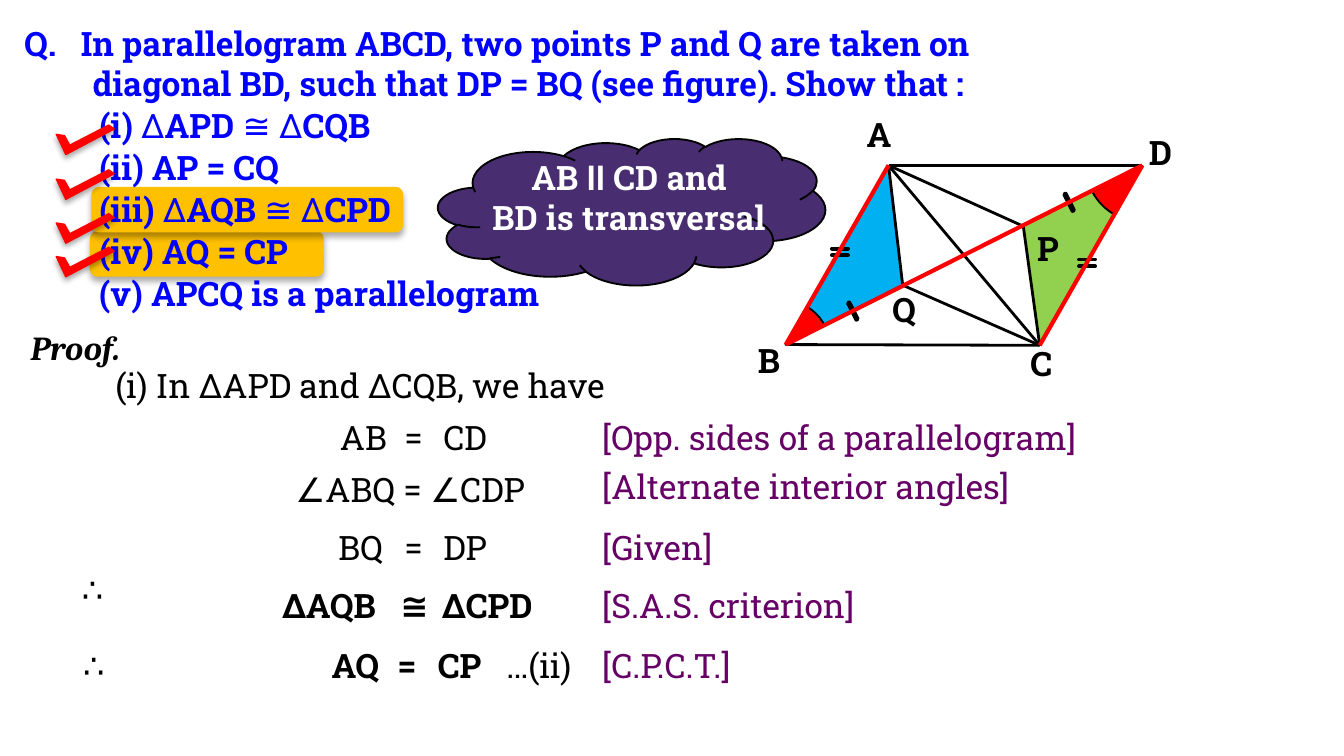
"""Builds the parallelogram proof slide."""
from lxml.etree import SubElement
from pptx import Presentation
from pptx.dml.color import RGBColor
from pptx.enum.shapes import MSO_CONNECTOR, MSO_SHAPE as Shape
from pptx.enum.text import MSO_AUTO_SIZE as Fit, PP_ALIGN as Align
from pptx.oxml.ns import qn
from pptx.util import Pt

SLAB = "Roboto Slab"
BLUE, BLACK, PURPLE, RED, WHITE = "0000FF", "000000", "660066", "FF0000", "FFFFFF"
VERTEX = {"A": (476, 88.6), "B": (421, 184.6), "C": (557, 185),
          "D": (612, 88.6), "P": (548.2, 121.2), "Q": (483.6, 152.8)}
LETTERS = [("B", 398.9, 178.6, 27.4), ("A", 457.2, 57.6, 27.4), ("C", 545, 180, 28.8),
           ("D", 608.4, 67, 28.8), ("Q", 470.9, 151.2, 28.8), ("P", 548.6, 118.8, 26.6)]
PARTS = [
    ([("(i) ", True), ("Δ", False), ("APD ", True), ("≅ Δ", False), ("CQB", True)], 169.2),
    ([("(ii) AP = CQ", True)], 121.7),
    ([("(iii) ", True), ("Δ", False), ("AQB ", True), ("≅ Δ", False), ("CPD", True)], 176.4),
    ([("(iv) AQ = CP", True)], 126),
    ([("(v) APCQ is a parallelogram", True)], 270.7),
]
STEPS = [
    (219.6, False, [("AB", 175, 41.8), ("=", 209.5, 25.2), ("CD", 230.4, 42.5)]),
    (247.7, False, [("∠ABQ = ∠CDP", 151.2, 144.7)]),
    (278.6, False, [("BQ", 174.2, 42.5), ("=", 209.5, 25.2), ("DP", 230.4, 40.3)]),
    (309.6, True, [("ΔAQB", 144, 66.2), ("≅", 207.4, 24.5), ("ΔCPD", 229.7, 65.5)]),
    (342, True, [("AQ", 170.6, 42.5), ("=", 205.9, 25.2), ("CP", 227.5, 40.3)]),
]
REASONS = [("[Opp. sides of a parallelogram]", 219.6, 285.1),
           ("[Alternate interior angles]", 246.2, 240.5), ("[Given]", 278.6, 76.3),
           ("[S.A.S. criterion]", 309.6, 159.8), ("[C.P.C.T.]", 342, 97.9)]
CHECK = [(61.2, 69.1), (58.3, 67), (37.4, 77.8), (34.6, 72.7), (30.2, 72), (35.3, 82.8)]


def rgb(color):
    """Turn a hex string into a colour."""
    return RGBColor.from_string(color)


def set_font(font, color=BLACK, bold=False, name=SLAB, italic=False):
    """Apply the common text style."""
    font.name, font.size, font.bold, font.italic = name, Pt(18), bold, italic
    font.color.rgb = rgb(color)


def paint(sp, fill, line=None, weight=1):
    """Set fill and outline, without shadow."""
    sp.shadow.inherit = False
    sp.fill.solid()
    sp.fill.fore_color.rgb = rgb(fill)
    if line:
        sp.line.color.rgb = rgb(line)
        sp.line.width = Pt(weight)
    else:
        sp.line.fill.background()


def add_shadow(sp, alpha, blur, dist):
    """Cast a black shadow straight down."""
    effects = sp._element.spPr.find(qn("a:effectLst"))
    shadow = SubElement(effects, qn("a:outerShdw"), blurRad=str(Pt(blur)),
                        dist=str(Pt(dist)), dir="5400000", rotWithShape="0")
    color = SubElement(shadow, qn("a:srgbClr"), val=BLACK)
    SubElement(color, qn("a:alpha"), val=str(alpha * 1000))


def add_shape(s, kind, box, fill, line=None, weight=1, rotation=0):
    """Add a painted preset shape."""
    sp = s.shapes.add_shape(kind, *map(Pt, box))
    sp.rotation = rotation
    paint(sp, fill, line, weight)
    return sp


def add_polygon(s, points, fill, line=None, weight=1):
    """Add a closed outline through the points."""
    first, *rest = [(Pt(x), Pt(y)) for x, y in points]
    builder = s.shapes.build_freeform(*first)
    builder.add_line_segments(rest, close=True)
    sp = builder.convert_to_shape()
    paint(sp, fill, line, weight)
    return sp


def add_text(s, text, left, top, width, height=28.8, wrap=False, **style):
    """Add a one-line label."""
    tf = s.shapes.add_textbox(*map(Pt, (left, top, width, height))).text_frame
    tf.word_wrap, tf.auto_size = wrap, Fit.SHAPE_TO_FIT_TEXT
    p = tf.paragraphs[0]
    p.text = text
    set_font(p.font, **style)
    return tf


def add_sides(s, pairs, color, weight):
    """Join pairs of named vertices."""
    for start, end in pairs.split():
        ends = map(Pt, VERTEX[start] + VERTEX[end])
        cx = s.shapes.add_connector(MSO_CONNECTOR.STRAIGHT, *ends)
        cx.line.color.rgb = rgb(color)
        cx.line.width = Pt(weight)
        SubElement(cx._element.spPr, qn("a:effectLst"))


def add_angle(s, box, rotation, start, end):
    """Add a red angle sector."""
    sp = add_shape(s, Shape.PIE, box, RED, BLACK, 1, rotation)
    sp.adjustments[0], sp.adjustments[1] = start, end


def add_regions(s):
    """Add the highlights, the triangles and the equal angles."""
    for box in ((48.2, 123.8, 125.3, 24.5), (49, 100.1, 167, 24.5)):
        sp = add_shape(s, Shape.ROUNDED_RECTANGLE, box, "FFC000")
        add_shadow(sp, 32, 3.5, 2.2)
    for corners, fill in (("CPD", "92D050"), ("BQA", "00B0F0")):
        add_polygon(s, [VERTEX[c] for c in corners], fill)
    add_angle(s, (581.8, 59, 59.8, 59.8), 75.4, 27.043, 46.198)
    add_angle(s, (397.4, 161.3, 46.8, 46.8), 208.8, 54.437, 74.408)


def add_question(s):
    """Add the question and its five parts."""
    style = {"color": BLUE, "bold": True}
    add_text(s, "Q.   In parallelogram ABCD, two points P and Q are taken on",
             5.8, 8.6, 590.4, wrap=True, **style)
    add_text(s, "diagonal BD, such that DP = BQ (see figure). Show that :",
             42.5, 30.2, 541.4, wrap=True, **style)
    for i, (runs, width) in enumerate(PARTS):
        p = add_text(s, "", 46.1, 52.7 + 22.5 * i, width, **style).paragraphs[0]
        for text, bold in runs:
            r = p.add_run()
            r.text = text
            set_font(r.font, BLUE, bold)


def add_proof(s):
    """Add the proof with its reasons."""
    add_text(s, "Proof.", 9.4, 171.4, 64.8, name="Cambria", bold=True, italic=True)
    add_text(s, "(i) In ΔAPD and ΔCQB, we have", 54.7, 192.2, 298.8)
    for top, bold, cells in STEPS:
        for text, left, width in cells:
            add_text(s, text, left, top, width, bold=bold)
    for text, top, width in REASONS:
        add_text(s, text, 315.4, top, width, color=PURPLE)
    for left, top in ((36.7, 301), (37.4, 342)):
        add_text(s, "∴", left, top, 30.2, name="Calibri")
    add_text(s, "…(ii)", 264.2, 342, 54.7)


def add_figure(s):
    """Add the sides, letters and equality ticks."""
    add_sides(s, "DC BA DA CA AQ QC CP AP CB BD", BLACK, 1.5)
    for letter in LETTERS:
        add_text(s, *letter, bold=True)
    for left, top in ((450, 164.9), (565.9, 106.6)):
        add_shape(s, Shape.MATH_MINUS, (left, top, 13.7, 3.6), BLACK, BLACK, 2, 63.3)
    for left, top in ((444.2, 133.2), (576.7, 139)):
        for gap in (0, 3.6):
            add_shape(s, Shape.MATH_MINUS, (left, top + gap, 11.5, 0), BLACK, BLACK, 2)
    add_sides(s, "BA CD BD", RED, 2.25)


def add_checks(s):
    """Tick off the proven parts."""
    for drop in (0, 24, 47.5, 65.5):
        sp = add_polygon(s, [(x, y + drop) for x, y in CHECK], RED, RED, 0.75)
        add_shadow(sp, 35, 3.1, 1.8)


def add_hint(s):
    """Add the cloud with its hint."""
    add_shape(s, Shape.CLOUD, (234.7, 74.2, 207.4, 78.5), "482D70", BLACK)
    style = {"color": WHITE, "bold": True}
    tf = add_text(s, "", 249.1, 80.6, 175.7, 51.1, wrap=True, **style)
    p = tf.paragraphs[0]
    p.alignment = Align.CENTER
    for text, name in (("AB ", SLAB), ("ll", "Arial"), (" CD and", SLAB)):
        r = p.add_run()
        r.text = text
        set_font(r.font, name=name, **style)
    p = tf.add_paragraph()
    p.text, p.alignment = "BD is transversal", Align.CENTER
    set_font(p.font, **style)


def main():
    """Build and save the slide."""
    prs = Presentation()
    prs.slide_width, prs.slide_height = Pt(720), Pt(405)
    s = prs.slides.add_slide(prs.slide_layouts[6])
    for add_part in (add_regions, add_question, add_proof, add_figure, add_checks, add_hint):
        add_part(s)
    prs.save("out.pptx")


if __name__ == "__main__":
    main()
